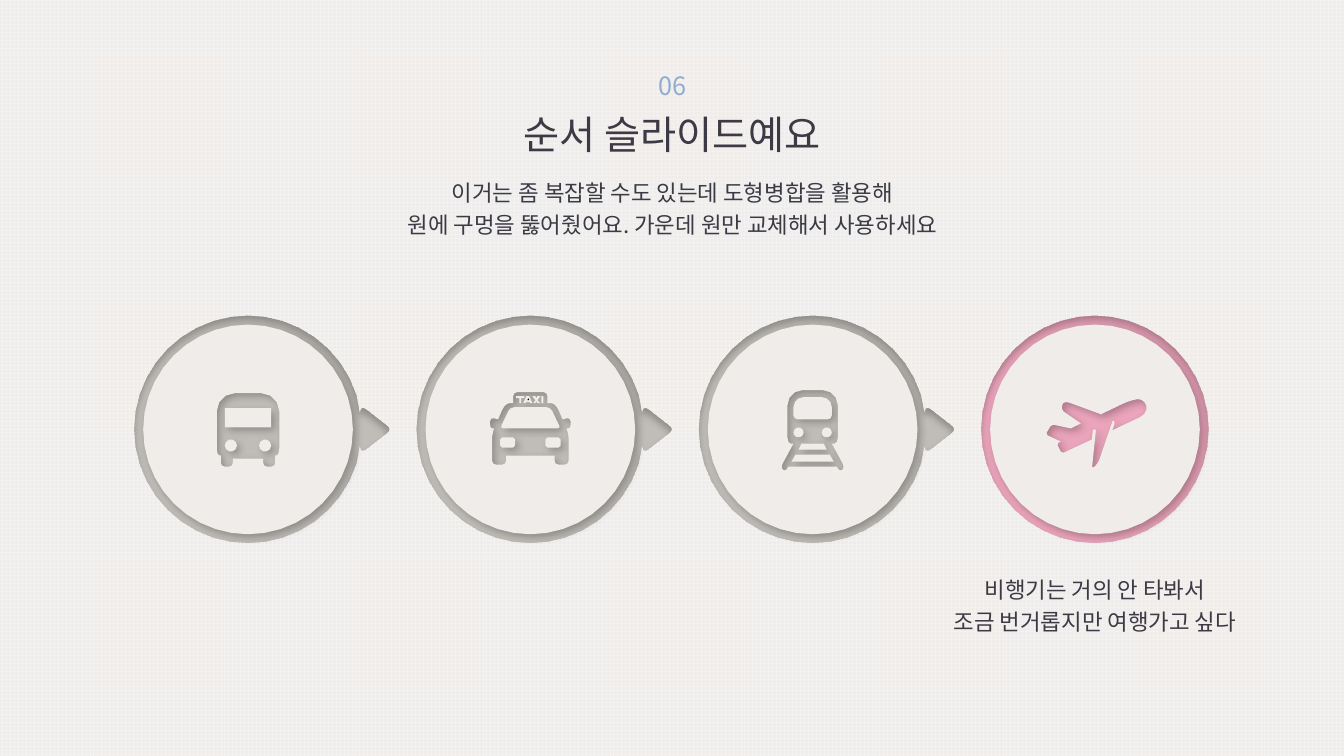
from dataclasses import dataclass
from math import cos, dist, radians, sin

from lxml.etree import SubElement
from pptx import Presentation
from pptx.dml.color import RGBColor
from pptx.enum.dml import MSO_PATTERN
from pptx.enum.shapes import MSO_SHAPE
from pptx.enum.text import MSO_AUTO_SIZE, PP_ALIGN
from pptx.oxml.ns import qn
from pptx.util import Emu, Pt

PX = 9144
WIDTH, HEIGHT = 1333, 750
FONT = "Noto Sans CJK KR"
COLORS = {
    "back": "C0BDB8", "pink": "EAA4BB", "paper": "F0ECE9", "grid": "F2F2F2",
    "ink": "3C3A44", "blue": "90ACCE", "black": "000000",
}
Point = tuple[float, float]
Corner = tuple[int, int, int]
Outline = list[Point]

FIRST_X, PITCH, CENTER_Y = 246, 280, 426
HOLE_RADIUS, DISC_RADIUS = 113, 104


@dataclass
class Shadow:
    blur: int
    distance: int
    angle: int


@dataclass
class Label:
    x: int
    y: int
    w: int
    h: int
    size: int
    color: str
    lines: list[str]
    spacing: float = 1.0
    wrap: bool = True


def px(n: float) -> Emu:
    return Emu(round(n * PX))


def rgb(name: str) -> RGBColor:
    return RGBColor.from_string(COLORS[name])


def toward(a: Point, b: Point, length: float) -> Point:
    share = length / dist(a, b)
    return a[0] + (b[0] - a[0]) * share, a[1] + (b[1] - a[1]) * share


def rounded(corners: list[Corner]) -> Outline:
    outline: Outline = []
    for i, (x, y, r) in enumerate(corners):
        if r == 0:
            outline.append((x, y))
            continue
        before, after = corners[i - 1][:2], corners[(i + 1) % len(corners)][:2]
        a, b = (toward((x, y), n, min(r, dist((x, y), n) / 2)) for n in (before, after))
        c, d = (toward(e, (x, y), dist(e, (x, y)) * 0.55) for e in (a, b))
        steps = 1 if r < 3 else 2 if r < 7 else 3
        for t in (k / steps for k in range(steps + 1)):
            weights = (1 - t) ** 3, 3 * t * (1 - t) ** 2, 3 * t * t * (1 - t), t ** 3
            outline.append(tuple(sum(w * q[k] for w, q in zip(weights, (a, c, d, b)))
                                 for k in (0, 1)))
    return outline


def symmetric(half: list[Corner]) -> Outline:
    return rounded(half + [(-x, y, r) for x, y, r in reversed(half)])


def polygon(*points: Point) -> Outline:
    return list(points)


def arc(x: int, y: int, r: int, step: int, start: int = 0, end: int = 360) -> Outline:
    return [(x + r * cos(radians(a)), y + r * sin(radians(a)))
            for a in range(start, end, step)]


def big_arc(r: int, start: int = 0, end: int = 360) -> Outline:
    return arc(0, 0, r, 9, start, end)


def lamp(x: int, y: int, r: int) -> Outline:
    return arc(x, y, r, 36)


def rect(x1: int, y1: int, x2: int, y2: int, r: int = 0) -> Outline:
    return rounded([(x1, y1, r), (x2, y1, r), (x2, y2, r), (x1, y2, r)])


def moved(outline: Outline, dx: int, dy: int) -> Outline:
    return [(x + dx, y + dy) for x, y in outline]


RING = big_arc(HOLE_RADIUS)
PIN = big_arc(HOLE_RADIUS, 18, 343) + rounded([(111, -25, 8), (143, 0, 5), (111, 25, 8)])

BUS = [
    symmetric([(31, -36, 18), (31, 25, 6), (27, 26, 0), (27, 37, 4), (15, 37, 4), (15, 29, 0)]),
    rect(-23, -21, 23, -2), lamp(-17, 16, 6), lamp(17, 16, 6),
]
TAXI = [
    symmetric([(17, -37, 4), (17, -26, 0), (25, -26, 7), (32, -10, 0), (40, -12, 4),
               (40, -1, 4), (36, -1, 0), (38, 6, 4), (38, 35, 4), (24, 35, 4), (24, 26, 0)]),
    symmetric([(20, -22, 4), (30, -1, 3)]),
    rect(-30, 8, -15, 18, 2), rect(15, 8, 30, 18, 2),
    polygon((-14, -33), (-6, -33), (-6, -31), (-9, -31), (-9, -26), (-11, -26),
            (-11, -31), (-14, -31)),
    polygon((-7, -26), (-4, -33), (-1, -33), (2, -26), (0, -26), (-1, -27), (-4, -27), (-5, -26)),
    polygon((2, -33), (5, -33), (6, -31), (7, -33), (10, -33), (7, -29), (10, -26),
            (7, -26), (6, -28), (5, -26), (3, -26), (5, -29)),
    rect(11, -33, 13, -26),
]
TRAIN = [
    symmetric([(25, -39, 15), (25, 14, 6), (19, 14, 0), (32, 38, 4), (27, 42, 3), (24, 37, 0)]),
    symmetric([(19, -32, 10), (19, -10, 4)]), lamp(-14, 3, 5), lamp(14, 3, 5),
    symmetric([(11, 14, 0), (14, 20, 0)]), symmetric([(17, 25, 0), (21, 32, 0)]),
]
PLANE = [rounded([
    (35, -29, 8), (49, -31, 9), (53, -16, 9), (17, 1, 0), (20, -7, 2), (18, -10, 2),
    (3, 34, 4), (-3, 39, 2), (1, 0, 1), (-2, 0, 1), (-3, 10, 0), (-33, 24, 2),
    (-38, 14, 2), (-34, 12, 0), (-49, 5, 2), (-43, -5, 2), (-24, -1, 0), (-14, -6, 0),
    (-33, -19, 2), (-32, -29, 7), (6, -15, 0)])]
LETTER_A_CENTER = polygon((-3, -29), (-2, -31), (-1, -29))

STEPS = [(PIN, BUS), (PIN, TAXI), (PIN, TRAIN), (RING, PLANE)]
LABELS = [
    Label(508, 105, 317, 57, 28, "ink", ["순서 슬라이드예요"], wrap=False),
    Label(392, 167, 550, 72, 16, "ink",
          ["이거는 좀 복잡할 수도 있는데 도형병합을 활용해",
           "원에 구멍을 뚫어줬어요. 가운데 원만 교체해서 사용하세요"], 1.2),
    Label(923, 561, 326, 72, 16, "ink",
          ["비행기는 거의 안 타봐서", "조금 번거롭지만 여행가고 싶다"], 1.2),
    Label(641, 65, 53, 40, 18, "blue", ["06"], wrap=False),
]


def add_outlines(s, outlines: list[Outline], color: str, shadow: Shadow | None = None):
    paths = [[(px(x), px(y)) for x, y in o] for o in outlines]
    builder = s.shapes.build_freeform(*paths[0][0], scale=1.0)
    builder.add_line_segments(paths[0][1:], close=True)
    for path in paths[1:]:
        builder.move_to(*path[0])
        builder.add_line_segments(path[1:], close=True)
    sp = builder.convert_to_shape()
    sp.fill.solid()
    sp.fill.fore_color.rgb = rgb(color)
    sp.line.fill.background()
    sp.shadow.inherit = False
    if shadow:
        effects = sp._element.spPr.find(qn("a:effectLst"))
        outer = SubElement(effects, qn("a:outerShdw"), blurRad=str(Pt(shadow.blur)),
                           dist=str(Pt(shadow.distance)), dir=str(shadow.angle * 60000),
                           algn="t", rotWithShape="0")
        tone = SubElement(outer, qn("a:srgbClr"), val=COLORS["black"])
        SubElement(tone, qn("a:alpha"), val="25000")
    return sp


def add_label(s, label: Label) -> None:
    tf = s.shapes.add_textbox(px(label.x), px(label.y), px(label.w), px(label.h)).text_frame
    tf.word_wrap = label.wrap
    tf.auto_size = MSO_AUTO_SIZE.SHAPE_TO_FIT_TEXT
    for i, line in enumerate(label.lines):
        p = tf.add_paragraph() if i else tf.paragraphs[0]
        p.alignment = PP_ALIGN.CENTER
        p.line_spacing = label.spacing
        r = p.add_run()
        r.text = line
        r.font.size = Pt(label.size)
        r.font.color.rgb = rgb(label.color)
        r.font.name = FONT
        SubElement(r.font._element, qn("a:ea"), typeface=FONT)


def main() -> None:
    prs = Presentation()
    prs.slide_width, prs.slide_height = px(WIDTH), px(HEIGHT)
    s = prs.slides.add_slide(prs.slide_layouts[6])
    s.background.fill.solid()
    s.background.fill.fore_color.rgb = rgb("back")

    sp = s.shapes.add_shape(MSO_SHAPE.RECTANGLE, px(962), px(308), px(266), px(234))
    sp.fill.solid()
    sp.fill.fore_color.rgb = rgb("pink")
    sp.line.fill.background()
    sp.shadow.inherit = False

    centers = [FIRST_X + PITCH * i for i in range(len(STEPS))]
    holes = [moved(hole, x, CENTER_Y) for x, (hole, _) in zip(centers, STEPS)]
    sheet = add_outlines(s, [rect(0, 0, WIDTH, HEIGHT)] + holes, "paper", Shadow(5, 4, 90))
    sheet.fill.patterned()
    sheet.fill.pattern = MSO_PATTERN.LARGE_GRID
    sheet.fill.fore_color.rgb = rgb("grid")
    sheet.fill.back_color.rgb = rgb("paper")

    for x, (_, icon) in zip(centers, STEPS):
        disc = [moved(o, x, CENTER_Y) for o in [big_arc(DISC_RADIUS)] + icon]
        add_outlines(s, disc, "paper", Shadow(6, 3, 45))
    add_outlines(s, [moved(LETTER_A_CENTER, centers[1], CENTER_Y)], "black")
    for label in LABELS:
        add_label(s, label)
    prs.save("out.pptx")


if __name__ == "__main__":
    main()
